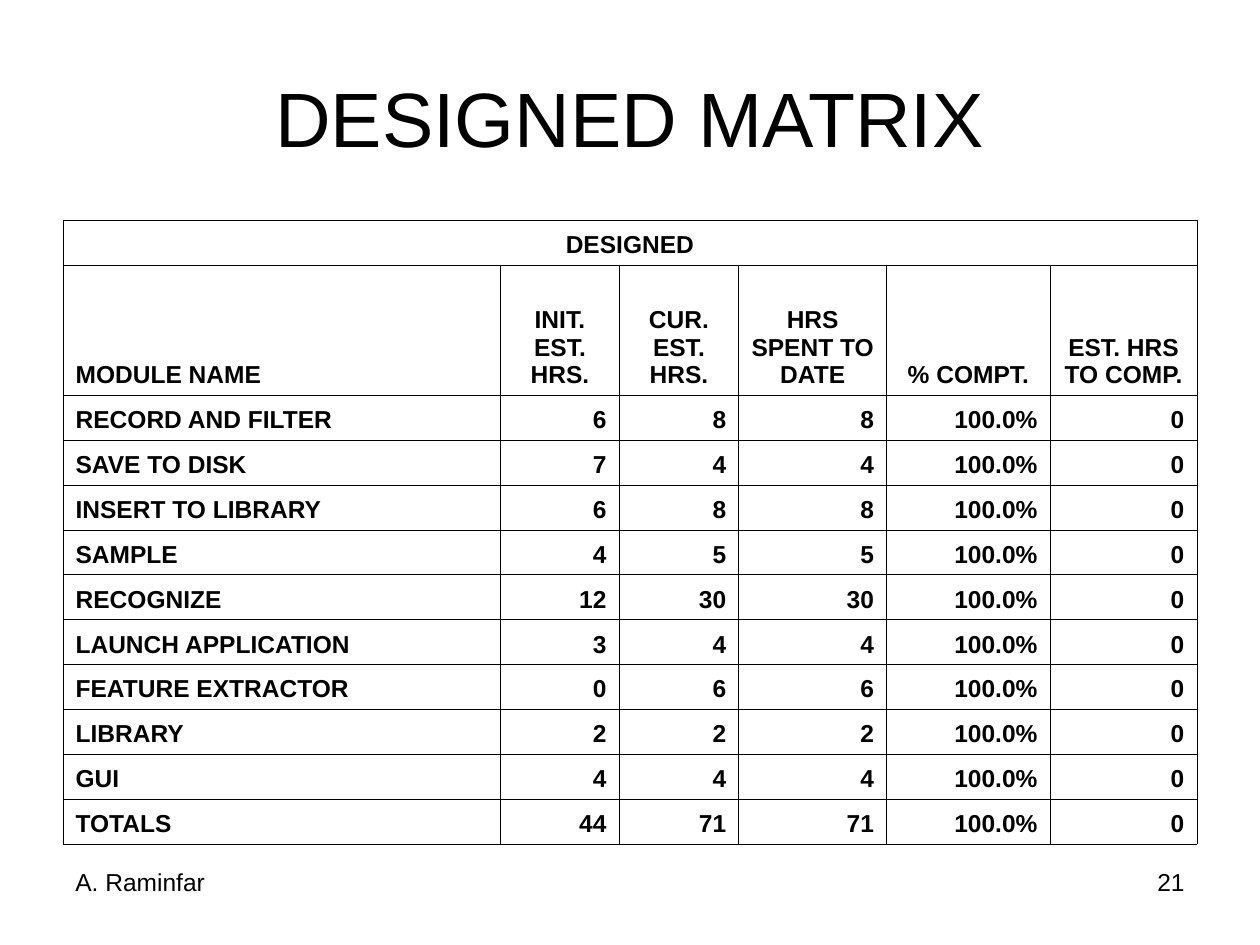
from lxml import etree
from pptx import Presentation
from pptx.dml.color import RGBColor
from pptx.enum.text import MSO_ANCHOR, PP_ALIGN
from pptx.oxml.ns import qn
from pptx.util import Pt

LEFT, CENTER, RIGHT = PP_ALIGN.LEFT, PP_ALIGN.CENTER, PP_ALIGN.RIGHT
TOP, MIDDLE, BOTTOM = MSO_ANCHOR.TOP, MSO_ANCHOR.MIDDLE, MSO_ANCHOR.BOTTOM
BLACK = RGBColor(0, 0, 0)
FONT = "Arial"
BORDER = 0.45

COL_WIDTHS = [250.2, 67.6, 68.4, 84.5, 93.5, 83.8]
HEADER_HEIGHT = 74.2
HEADERS = ["MODULE NAME", "INIT. EST. HRS.", "CUR. EST. HRS.",
           "HRS SPENT TO DATE", "% COMPT.", "EST. HRS TO COMP."]
MODULES = [
    ("RECORD AND FILTER", 6, 8, 8, "100.0%", 0),
    ("SAVE TO DISK", 7, 4, 4, "100.0%", 0),
    ("INSERT TO LIBRARY", 6, 8, 8, "100.0%", 0),
    ("SAMPLE", 4, 5, 5, "100.0%", 0),
    ("RECOGNIZE", 12, 30, 30, "100.0%", 0),
    ("LAUNCH APPLICATION", 3, 4, 4, "100.0%", 0),
    ("FEATURE EXTRACTOR", 0, 6, 6, "100.0%", 0),
    ("LIBRARY", 2, 2, 2, "100.0%", 0),
    ("GUI", 4, 4, 4, "100.0%", 0),
    ("TOTALS", 44, 71, 71, "100.0%", 0),
]


def write(p, text, size, align, bold=False):
    """Fill a paragraph with text in the slide font."""
    p.text = str(text)
    p.alignment = align
    p.font.name = FONT
    p.font.size = Pt(size)
    p.font.bold = bold
    p.font.color.rgb = BLACK


def add_label(s, box, text, size, align, anchor=TOP):
    """Add a one-line text box."""
    tf = s.shapes.add_textbox(*map(Pt, box)).text_frame
    tf.word_wrap = True
    tf.vertical_anchor = anchor
    write(tf.paragraphs[0], text, size, align)


def style_cell(cell):
    """Give a cell thin black borders, no fill and bottom alignment."""
    tc_pr = cell._tc.get_or_add_tcPr()
    for side in ("a:lnL", "a:lnR", "a:lnT", "a:lnB"):
        ln = etree.SubElement(tc_pr, qn(side), w=str(Pt(BORDER)))
        fill = etree.SubElement(ln, qn("a:solidFill"))
        etree.SubElement(fill, qn("a:srgbClr"), val=str(BLACK))
    cell.fill.background()
    cell.vertical_anchor = BOTTOM


def add_matrix(s, box):
    """Add the hours table under its merged heading row."""
    rows = [HEADERS, *MODULES]
    height = box[3]
    row_height = (height - HEADER_HEIGHT) / len(rows)
    table = s.shapes.add_table(len(rows) + 1, len(HEADERS), *map(Pt, box)).table
    table.first_row = table.horz_banding = False
    for col, width in zip(table.columns, COL_WIDTHS):
        col.width = Pt(width)
    for i, row in enumerate(table.rows):
        row.height = Pt(HEADER_HEIGHT if i == 1 else row_height)
        for cell in row.cells:
            style_cell(cell)
    heading = table.cell(0, 0)
    heading.merge(table.cell(0, len(HEADERS) - 1))
    write(heading.text_frame.paragraphs[0], "DESIGNED", 14, CENTER, True)
    for i, values in enumerate(rows, 1):
        for j, value in enumerate(values):
            align = LEFT if j == 0 else CENTER if i == 1 else RIGHT
            p = table.cell(i, j).text_frame.paragraphs[0]
            write(p, value, 14, align, True)


def add_footer(s, box):
    """Add the author at the left and the page number at the right."""
    left, top, width, height = box
    part = 168
    add_label(s, (left + width - part, top, part, height), "21", 14, RIGHT)
    add_label(s, (left, top, part, height), "A. Raminfar", 14, LEFT)


def main():
    """Build the slide and save it."""
    prs = Presentation()
    prs.slide_width, prs.slide_height = Pt(720), Pt(540)
    s = prs.slides.add_slide(prs.slide_layouts[6])
    add_label(s, (36, 21.6, 648, 90), "DESIGNED MATRIX", 44, CENTER, MIDDLE)
    add_matrix(s, (36, 126, 648, 356.4))
    add_footer(s, (36, 492, 648, 37.5))
    prs.save("out.pptx")


if __name__ == "__main__":
    main()
